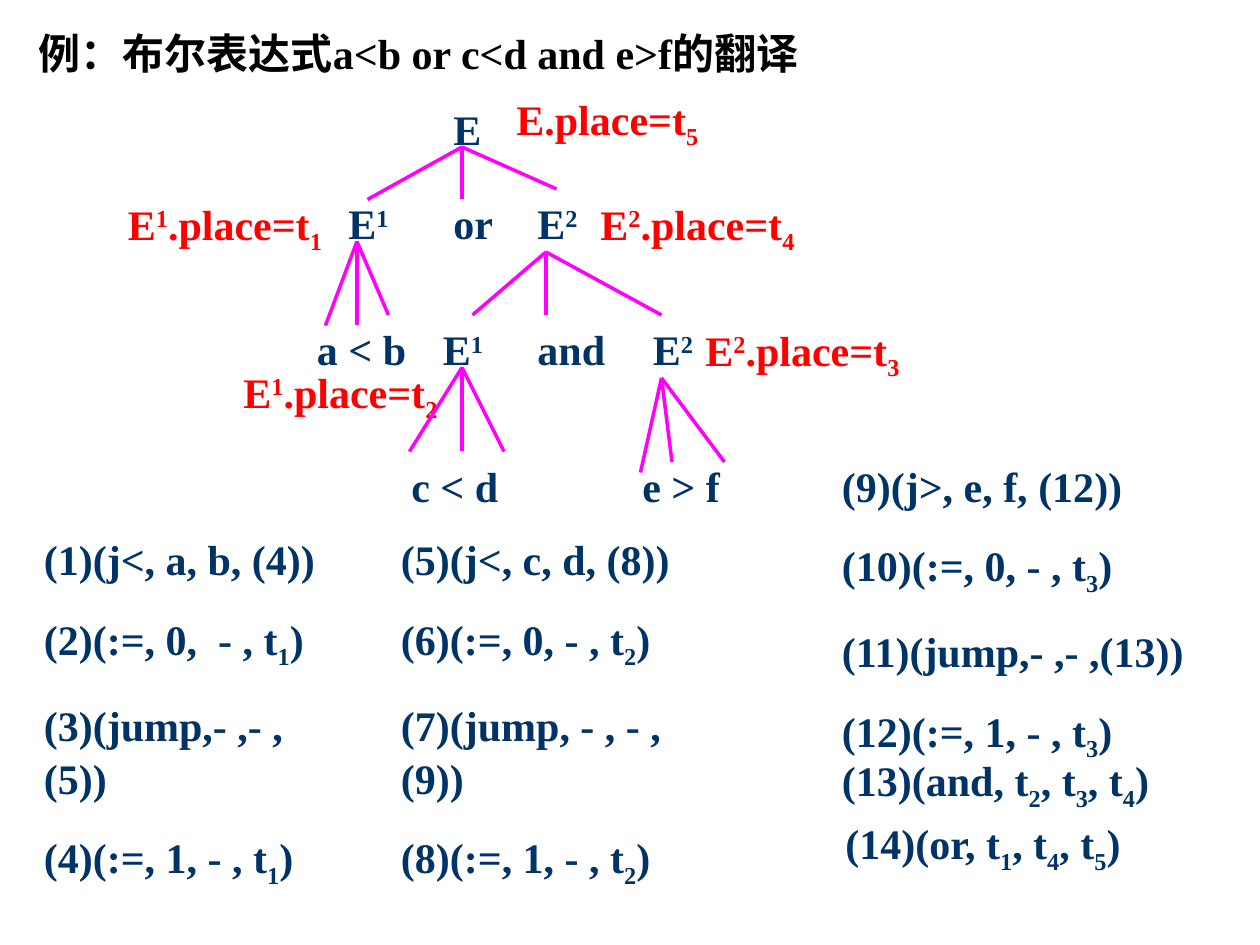
from dataclasses import dataclass

from lxml.etree import SubElement
from pptx import Presentation
from pptx.dml.color import RGBColor
from pptx.enum.shapes import MSO_CONNECTOR
from pptx.enum.text import MSO_ANCHOR, MSO_AUTO_SIZE, PP_ALIGN
from pptx.oxml.ns import qn
from pptx.util import Pt


@dataclass(frozen=True)
class Theme:
    font: str = "Times New Roman"
    size: int = 24
    heading: RGBColor = RGBColor(0, 0, 0)
    node: RGBColor = RGBColor(0x00, 0x33, 0x66)
    attribute: RGBColor = RGBColor(0xFF, 0, 0)
    branch: RGBColor = RGBColor(0xFF, 0, 0xFF)
    branch_width: int = 2
    quad_gap: int = 15
    line_spacing: float = 1.05


THEME = Theme()
GRID = 6  # points per tree grid step
SHIFTS = {"^": "30000", "_": "-25000"}

# text, column, row, width in grid steps
NODES = [
    ("E", 31, 1, 5),
    ("E^1", 21, 10, 7), ("or", 31, 10, 7), ("E^2", 39, 10, 7),
    ("a < b", 18, 22, 11),
    ("E^1", 30, 22, 7), ("and", 39, 22, 9), ("E^2", 50, 22, 7),
    ("c < d", 27, 35, 12), ("e > f", 49, 35, 11),
]
ATTRIBUTES = [
    ("E.place=t_5", 37, 0, 21),
    ("E^1.place=t_1", 0, 10, 22),
    ("E^2.place=t_4", 45, 10, 23),
    ("E^2.place=t_3", 55, 22, 23),
    ("E^1.place=t_2", 11, 26, 24),
]
# parent point: child points
BRANCHES = {
    (33, 6): [(24, 11), (33, 11), (42, 10)],
    (23, 15): [(20, 23), (23, 23), (26, 22)],
    (41, 16): [(34, 22), (41, 22), (52, 22)],
    (33, 27): [(28, 35), (33, 35), (37, 35)],
    (52, 28): [(50, 37), (53, 36), (58, 36)],
}
# box (left, top, width, height) and quadruples
QUAD_LISTS = [
    ((18, 300, 186, 204), ["(1)(j<, a, b, (4))", "(2)(:=, 0,  - , t_1)",
                           "(3)(jump,- ,- ,(5))", "(4)(:=, 1, - , t_1)"]),
    ((222, 300, 192, 204), ["(5)(j<, c, d, (8))", "(6)(:=, 0, - , t_2)",
                            "(7)(jump, - , - ,(9))", "(8)(:=, 1, - , t_2)"]),
    ((474, 258, 210, 204), ["(9)(j>, e, f, (12))", "(10)(:=, 0, - , t_3)",
                            "(11)(jump,- ,- ,(13))", "(12)(:=, 1, - , t_3)"]),
    ((474, 426, 234, 40), ["(13)(and, t_2, t_3, t_4)"]),
    ((476, 462, 174, 40), ["(14)(or, t_1, t_4, t_5)"]),
]


def style(paragraph, color):
    font = paragraph.font
    font.name, font.size, font.bold = THEME.font, Pt(THEME.size), True
    font.color.rgb = color


def write_marked(paragraph, text):
    """Add runs; ^ raises and _ lowers the one character after it."""
    plain = ""
    marks = iter(text)
    for char in marks:
        if char not in SHIFTS:
            plain += char
            continue
        paragraph.add_run().text = plain
        shifted = paragraph.add_run()
        shifted.text = next(marks)
        shifted._r.get_or_add_rPr().set("baseline", SHIFTS[char])
        plain = ""
    if plain:
        paragraph.add_run().text = plain


def add_lines(shapes, box, lines, color):
    frame = shapes.add_textbox(*map(Pt, box)).text_frame
    frame.word_wrap = True
    frame.auto_size = MSO_AUTO_SIZE.SHAPE_TO_FIT_TEXT
    for index, line in enumerate(lines):
        paragraph = frame.add_paragraph() if index else frame.paragraphs[0]
        if index:
            paragraph.space_before = Pt(THEME.quad_gap)
        paragraph.line_spacing = THEME.line_spacing
        write_marked(paragraph, line)
        style(paragraph, color)


def add_heading(slide, box, text):
    heading = slide.shapes.title
    heading.left, heading.top, heading.width, heading.height = map(Pt, box)
    frame = heading.text_frame
    frame.text = text
    frame.auto_size = MSO_AUTO_SIZE.NONE
    frame.vertical_anchor = MSO_ANCHOR.MIDDLE
    paragraph = frame.paragraphs[0]
    paragraph.alignment = PP_ALIGN.LEFT
    style(paragraph, THEME.heading)


def add_tree(slide, left, top):
    """Place the annotated parse tree with its grid origin at left, top."""
    def place(column, row):
        return left + column * GRID, top + row * GRID

    def add_labels(shapes, labels, height, color):
        for text, column, row, width in labels:
            box = (*place(column, row), width * GRID, height)
            add_lines(shapes, box, [text], color)

    add_labels(slide.shapes, ATTRIBUTES, 40, THEME.attribute)
    tree = slide.shapes.add_group_shape().shapes
    add_labels(tree, NODES, 36, THEME.node)
    for parent, children in BRANCHES.items():
        for child in children:
            ends = map(Pt, (*place(*parent), *place(*child)))
            branch = tree.add_connector(MSO_CONNECTOR.STRAIGHT, *ends)
            branch.line.color.rgb = THEME.branch
            branch.line.width = Pt(THEME.branch_width)
            SubElement(branch._element.spPr, qn("a:effectLst"))


def main():
    deck = Presentation()
    deck.slide_width, deck.slide_height = Pt(720), Pt(540)
    slide = deck.slides.add_slide(deck.slide_layouts.get_by_name("Title Only"))
    add_heading(slide, (15, 12, 626, 36), "例：布尔表达式a<b or c<d and e>f的翻译")
    add_tree(slide, 66, 48)
    for box, quads in QUAD_LISTS:
        add_lines(slide.shapes, box, quads, THEME.node)
    deck.save("out.pptx")


if __name__ == "__main__":
    main()
